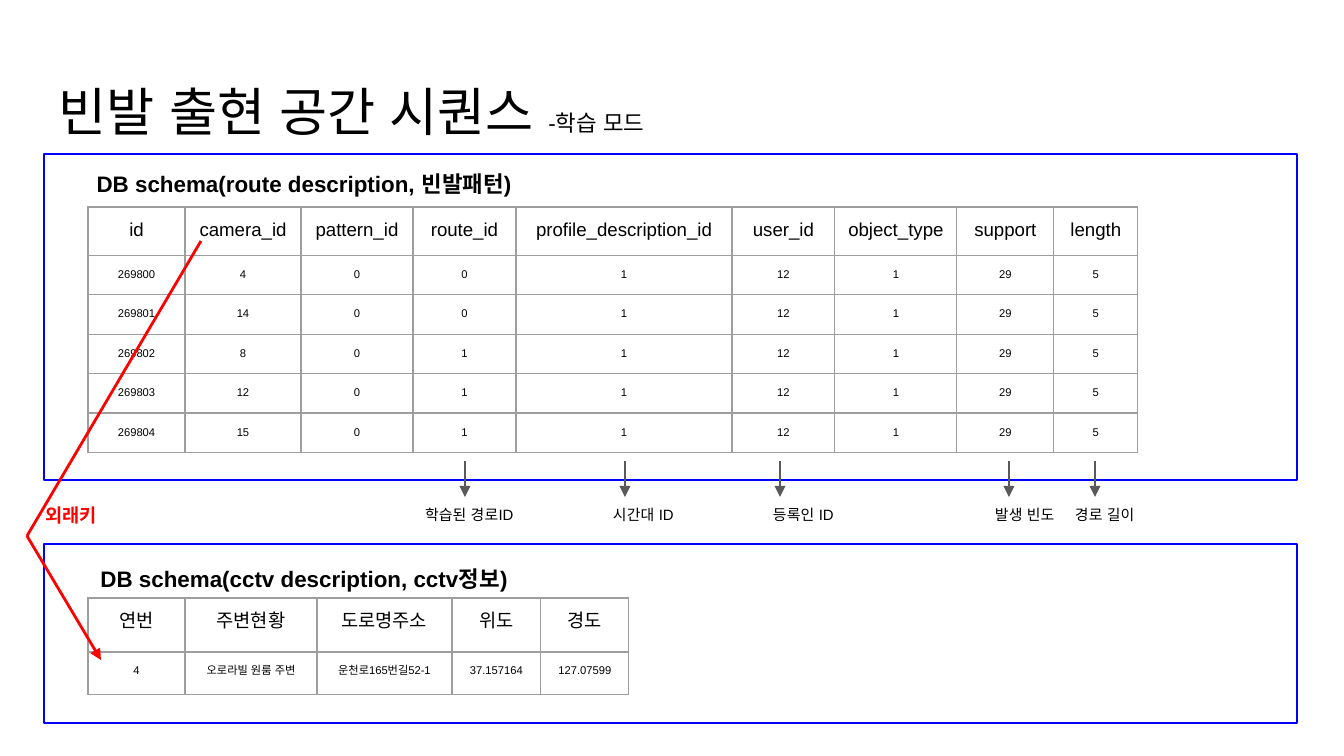
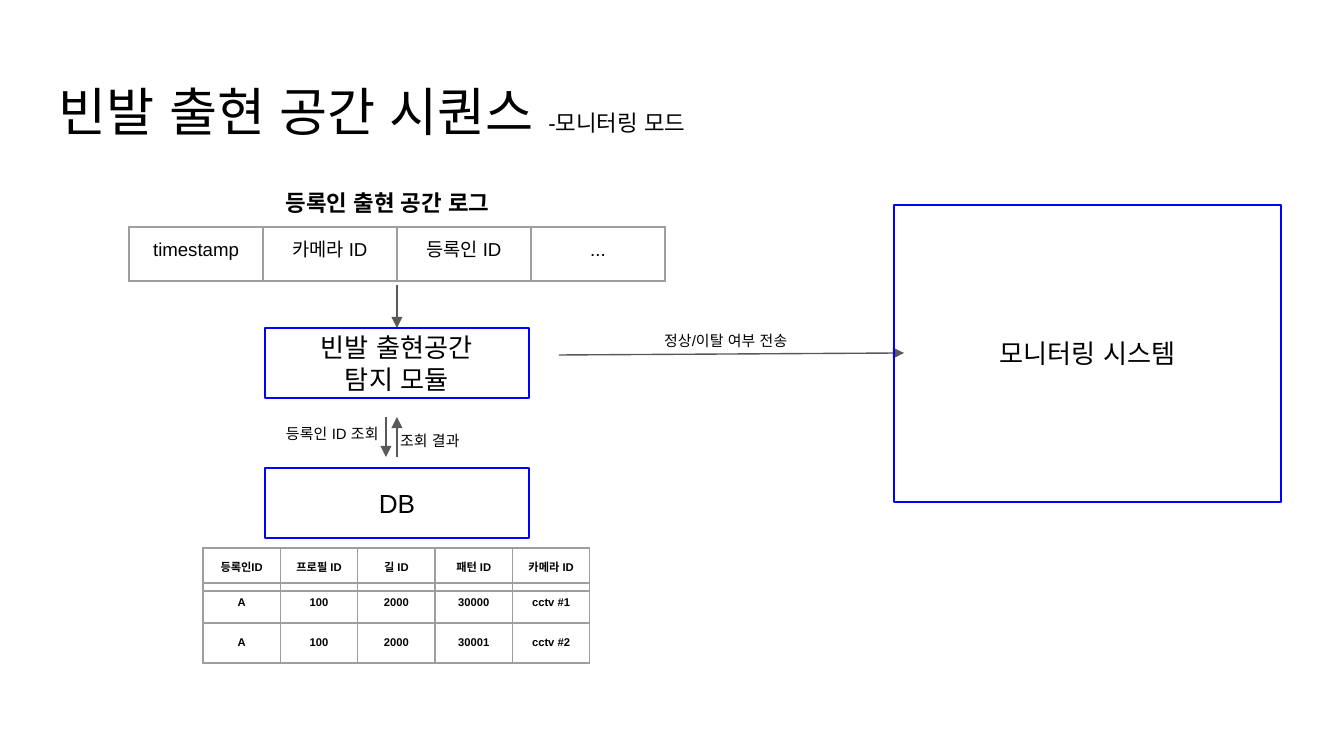
from dataclasses import dataclass

from lxml.etree import SubElement
from pptx import Presentation
from pptx.dml.color import RGBColor
from pptx.enum.shapes import MSO_CONNECTOR, MSO_SHAPE
from pptx.enum.text import MSO_ANCHOR, PP_ALIGN
from pptx.oxml.ns import qn
from pptx.util import Emu, Pt

SCALE = 914400 / 134.4


def px(length):
    return Emu(round(length * SCALE))


@dataclass(frozen=True)
class Theme:
    font: str = "Arial"
    ink: str = "000000"
    frame: str = "0000FF"
    arrow: str = "595959"
    grid: str = "9E9E9E"
    key: str = "FF0000"
    title: int = 28
    module: int = 14
    heading: int = 12
    header: int = 10
    label: int = 8
    cell: int = 6
    thin: float = 0.75
    thick: float = 1.5
    inset: int = 13
    label_height: int = 70


@dataclass(frozen=True)
class Box:
    x: float
    y: float
    w: float
    h: float

    def inner(self, dx, dy, w, h):
        return Box(self.x + dx, self.y + dy, w, h)

    def emu(self):
        return px(self.x), px(self.y), px(self.w), px(self.h)


THEME = Theme()
CENTER = PP_ALIGN.CENTER
LEFT = PP_ALIGN.LEFT


def style_span(span, size, bold=False, color=THEME.ink):
    span.font.name = THEME.font
    span.font.size = Pt(size)
    span.font.bold = bold
    span.font.color.rgb = RGBColor.from_string(color)
    east_asian = SubElement(span.font._element, qn("a:ea"))
    east_asian.set("typeface", THEME.font)


def style_text(frame, size, bold=False, color=THEME.ink, align=CENTER):
    for para in frame.paragraphs:
        para.alignment = align
        for span in para.runs:
            style_span(span, size, bold, color)


def set_insets(target):
    target.margin_left = target.margin_right = px(THEME.inset)
    target.margin_top = target.margin_bottom = px(THEME.inset)


def add_text(page, box, text, size, bold=False, color=THEME.ink, align=CENTER):
    frame = page.shapes.add_textbox(*box.emu()).text_frame
    frame.word_wrap = True
    frame.vertical_anchor = MSO_ANCHOR.MIDDLE
    set_insets(frame)
    frame.text = text
    style_text(frame, size, bold, color, align)
    return frame


def add_title(page, box, mode):
    frame = add_text(page, box, "빈발 출현 공간 시퀀스 ", THEME.title, align=LEFT)
    frame.vertical_anchor = MSO_ANCHOR.TOP
    span = frame.paragraphs[0].add_run()
    span.text = f"-{mode}"
    style_span(span, THEME.heading)


def add_frame(page, box, text=""):
    shape = page.shapes.add_shape(MSO_SHAPE.RECTANGLE, *box.emu())
    shape.shadow.inherit = False
    shape.fill.background()
    shape.line.color.rgb = RGBColor.from_string(THEME.frame)
    shape.line.width = Pt(THEME.thin)
    if text:
        frame = shape.text_frame
        frame.word_wrap = True
        frame.vertical_anchor = MSO_ANCHOR.MIDDLE
        set_insets(frame)
        frame.text = text
        style_text(frame, THEME.module)


def add_line(page, start, end, color=THEME.arrow, width=THEME.thin, head=True):
    line = page.shapes.add_connector(
        MSO_CONNECTOR.STRAIGHT, *map(px, start), *map(px, end)
    )
    line.line.color.rgb = RGBColor.from_string(color)
    line.line.width = Pt(width)
    properties = line._element.spPr
    if head:
        SubElement(properties.find(qn("a:ln")), qn("a:tailEnd")).set("type", "triangle")
    SubElement(properties, qn("a:effectLst"))


def border_cell(cell):
    properties = cell._tc.get_or_add_tcPr()
    for index, side in enumerate(("lnL", "lnR", "lnT", "lnB")):
        edge = SubElement(properties, qn(f"a:{side}"), w=str(Pt(THEME.thin)))
        fill = SubElement(edge, qn("a:solidFill"))
        SubElement(fill, qn("a:srgbClr"), val=THEME.grid)
        properties.insert(index, edge)


def add_grid(page, x, y, widths, heights, rows, sizes, bold=False):
    box = Box(x, y, sum(widths), sum(heights))
    table = page.shapes.add_table(len(rows), len(widths), *box.emu()).table
    table.first_row = table.horz_banding = False
    for column, width in zip(table.columns, widths):
        column.width = px(width)
    for row, height, values, size in zip(table.rows, heights, rows, sizes):
        row.height = px(height)
        for cell, value in zip(row.cells, values):
            cell.fill.background()
            border_cell(cell)
            set_insets(cell)
            cell.text = value
            style_text(cell.text_frame, size, bold)


def add_schema(page, box, heading, heading_y, table_y, widths, heights, rows):
    add_frame(page, box)
    add_text(page, box.inner(-2, heading_y, 524, THEME.label_height), heading,
             THEME.heading, bold=True)
    sizes = [THEME.header] + [THEME.cell] * (len(rows) - 1)
    add_grid(page, box.x + 44, box.y + table_y, widths, heights, rows, sizes)


def add_column_notes(page, box, notes):
    for arrow_x, text_x, width, text in notes:
        add_line(page, (box.x + arrow_x, box.y), (box.x + arrow_x, box.y + 36))
        add_text(page, box.inner(text_x - THEME.inset, 19, width, THEME.label_height),
                 text, THEME.label, align=LEFT)


def add_foreign_key(page, box):
    corner = (box.x, box.y + 295)
    add_line(page, corner, (box.x + 174, box.y), THEME.key, THEME.thick, head=False)
    add_line(page, corner, (box.x + 74, box.y + box.h), THEME.key, THEME.thick)
    add_text(page, box.inner(-22, 239, 133, THEME.label_height), "외래키",
             THEME.header, bold=True, color=THEME.key)


def add_log(page, box):
    add_text(page, box.inner(52, 0, 413, THEME.label_height), "등록인 출현 공간 로그",
             THEME.heading, bold=True)
    add_grid(page, box.x, box.y + 59, [box.w / 4] * 4, [54],
             [("timestamp", "카메라 ID", "등록인 ID", "...")], [THEME.header])


def add_detection(page, box):
    middle = box.x + box.w / 2
    add_line(page, (middle, box.y), (middle, box.y + 43))
    add_frame(page, box.inner(0, 43, box.w, 70), "빈발 출현공간\n탐지 모듈")
    add_frame(page, box.inner(0, 183, box.w, 70), "DB")
    add_line(page, (middle, box.y + 172), (middle, box.y + 132))
    add_line(page, (middle - 11, box.y + 132), (middle - 11, box.y + 172))
    for dx, dy, width, text in ((8, 113, 132, "등록인 ID 조회"), (122, 121, 104, "조회 결과")):
        add_text(page, box.inner(dx, dy, width, THEME.label_height), text,
                 THEME.label, align=LEFT)


def add_records(page, box):
    records = (
        (0, 43, ("등록인ID", "프로필 ID", "길 ID", "패턴 ID", "카메라 ID")),
        (35, 40, ("A", "100", "2000", "30000", "cctv #1")),
        (75, 40, ("A", "100", "2000", "30001", "cctv #2")),
    )
    for dy, height, values in records:
        add_grid(page, box.x, box.y + dy, [box.w / 5] * 5, [height], [values],
                 [THEME.cell], bold=True)


def add_monitor(page, box):
    add_line(page, (box.x - 335, box.y + 150), (box.x + 10, box.y + 148))
    add_frame(page, box, "모니터링 시스템")
    add_text(page, box.inner(-243, 101, 163, THEME.label_height),
             "정상/이탈 여부 전송", THEME.label, align=LEFT)


def build_learning(page):
    add_title(page, TITLE_BOX, "학습 모드")
    routes = [("269800", "4", "0"), ("269801", "14", "0"), ("269802", "8", "1"),
              ("269803", "12", "1"), ("269804", "15", "1")]
    route_rows = [("id", "camera_id", "pattern_id", "route_id", "profile_description_id",
                   "user_id", "object_type", "support", "length")]
    route_rows += [(key, camera, "0", route, "1", "12", "1", "29", "5")
                   for key, camera, route in routes]
    add_schema(page, Box(44, 154, 1253, 326), "DB schema(route description, 빈발패턴)",
               -5, 53, [97, 116, 112, 103, 216, 103, 122, 97, 84],
               [48] + [39.4] * 5, route_rows)
    add_column_notes(page, Box(425, 461, 710, 89), (
        (40, 0, 150, "학습된 경로ID"),
        (200, 188, 120, "시간대 ID"),
        (355, 348, 120, "등록인 ID"),
        (584, 570, 100, "발생 빈도"),
        (670, 650, 100, "경로 길이"),
    ))
    add_schema(page, Box(44, 544, 1253, 179), "DB schema(cctv description, cctv정보)",
               0, 54, [97, 132, 135, 89, 88], [54, 43], [
                   ("연번", "주변현황", "도로명주소", "위도", "경도"),
                   ("4", "오로라빌 원룸 주변", "운천로165번길52-1", "37.157164", "127.07599"),
               ])
    add_foreign_key(page, Box(27, 241, 174, 419))


def build_monitoring(page):
    add_title(page, TITLE_BOX, "모니터링 모드")
    add_log(page, Box(129, 168, 536, 113))
    add_detection(page, Box(265, 285, 264, 253))
    add_records(page, Box(203, 548, 387, 115))
    add_monitor(page, Box(894, 205, 387, 297))


TITLE_BOX = Box(46, 66, 1253, 84)

deck = Presentation()
deck.slide_width = px(1344)
deck.slide_height = px(756)
for build in (build_learning, build_monitoring):
    build(deck.slides.add_slide(deck.slide_layouts[6]))
deck.save("out.pptx")
